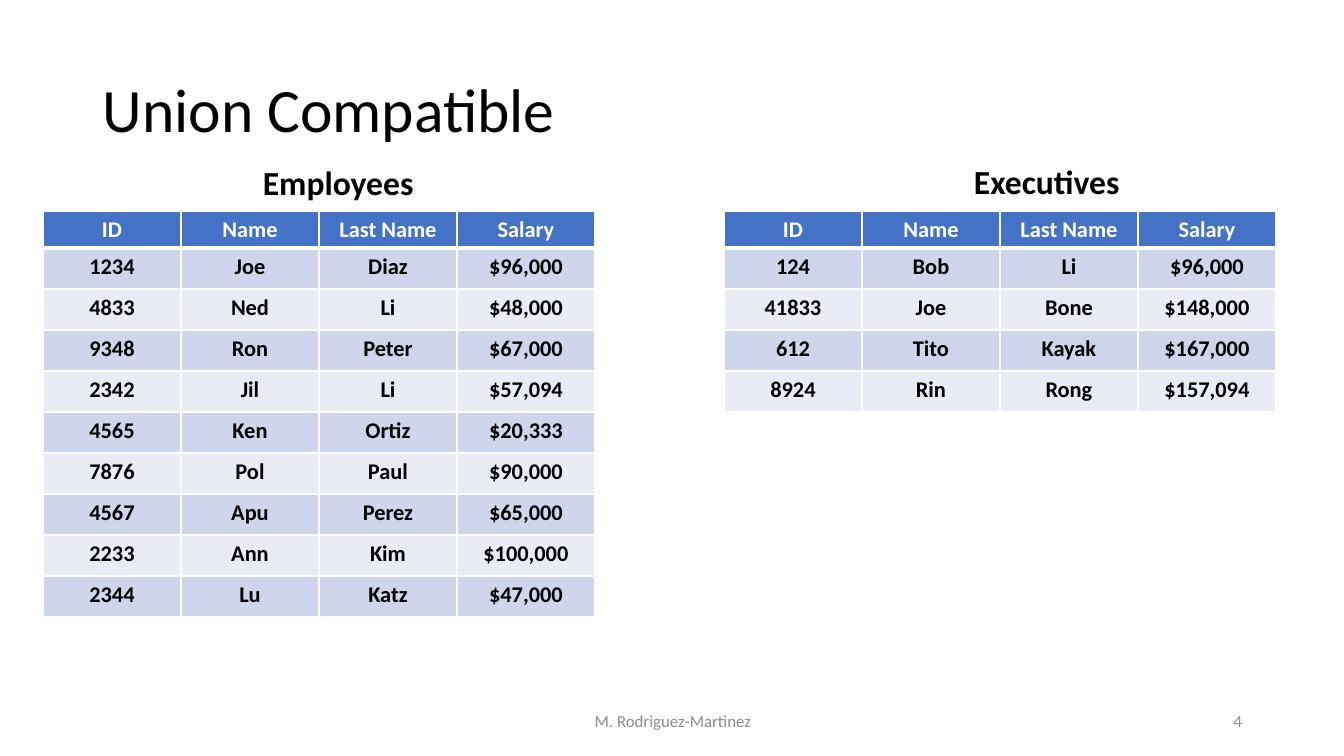
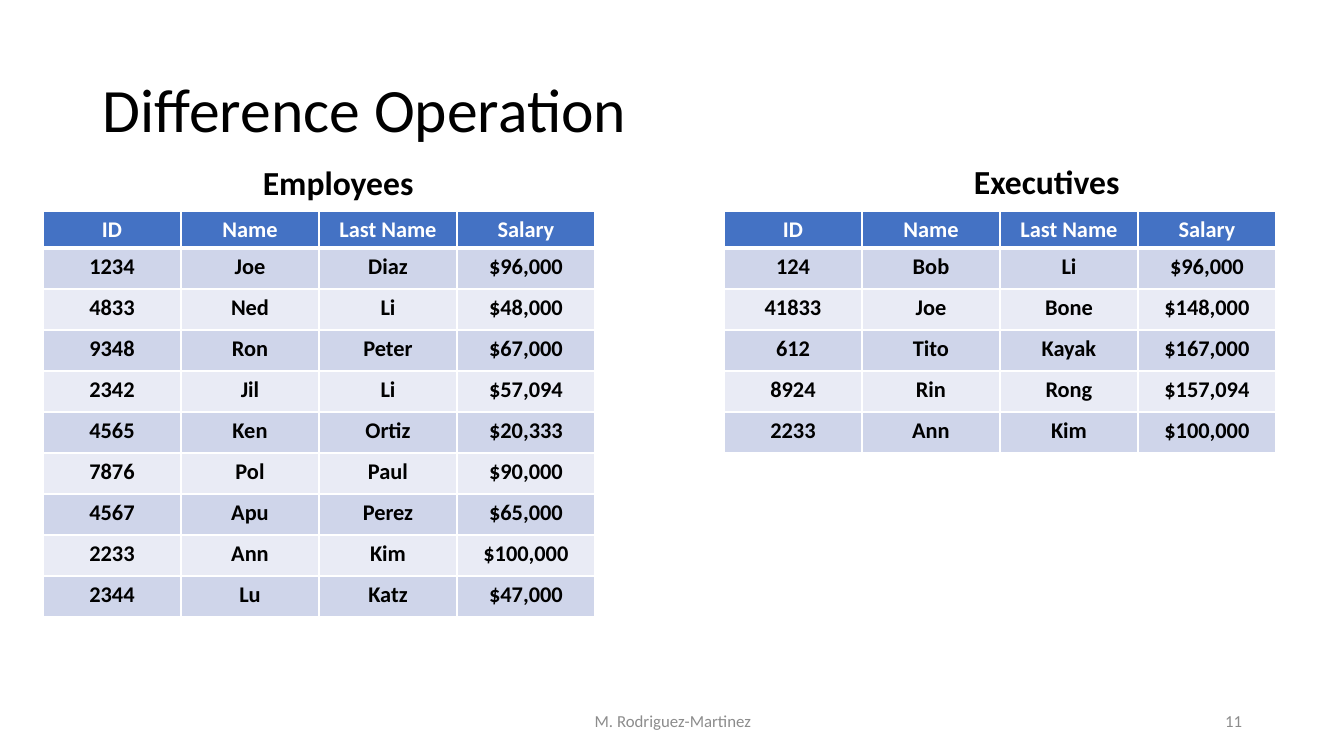
"""Build two slides that compare an employee table with an executive table."""
from lxml.etree import SubElement
from pptx import Presentation
from pptx.dml.color import RGBColor
from pptx.enum.text import MSO_ANCHOR, PP_ALIGN
from pptx.oxml.ns import qn
from pptx.util import Pt

HEADINGS = ("ID", "Name", "Last Name", "Salary")
EMPLOYEES = [
    ("1234", "Joe", "Diaz", "$96,000"),
    ("4833", "Ned", "Li", "$48,000"),
    ("9348", "Ron", "Peter", "$67,000"),
    ("2342", "Jil", "Li", "$57,094"),
    ("4565", "Ken", "Ortiz", "$20,333"),
    ("7876", "Pol", "Paul", "$90,000"),
    ("4567", "Apu", "Perez", "$65,000"),
    ("2233", "Ann", "Kim", "$100,000"),
    ("2344", "Lu", "Katz", "$47,000"),
]
EXECUTIVES = [
    ("124", "Bob", "Li", "$96,000"),
    ("41833", "Joe", "Bone", "$148,000"),
    ("612", "Tito", "Kayak", "$167,000"),
    ("8924", "Rin", "Rong", "$157,094"),
]
ANN = EMPLOYEES[7]
SLIDES = [
    ("Union Compatible", "4", EXECUTIVES),
    ("Difference Operation", "11", EXECUTIVES + [ANN]),
]
AUTHOR = "M. Rodriguez-Martinez"

BLACK, WHITE, GRAY = "000000", "FFFFFF", "8C8C8C"
HEADER_FILL, BANDS = "4472C4", ("CFD5EA", "E9EBF5")
TITLE = {"size": 44, "color": BLACK, "spacing": 0.9}
CAPTION = {"size": 24, "color": BLACK, "bold": True, "anchor": MSO_ANCHOR.TOP, "wrap": False}
FOOTER = {"size": 12, "color": GRAY, "align": PP_ALIGN.CENTER}
PAGE_NUMBER = {**FOOTER, "align": PP_ALIGN.RIGHT}
BODY_CELL = {"size": 16, "color": BLACK, "bold": True, "align": PP_ALIGN.CENTER}
HEADER_CELL = {**BODY_CELL, "color": WHITE}

TITLE_BOX = (93, 40, 1159, 146)
EMPLOYEES_BOX = (253, 157, 172, 50)
EXECUTIVES_BOX = (964, 156, 168, 50)
FOOTER_BOX = (446, 701, 454, 40)
PAGE_BOX = (950, 701, 302, 40)
EMPLOYEES_LEFT, EXECUTIVES_LEFT, TABLE_TOP = 43, 724, 211
COLUMN_WIDTH, HEADER_HEIGHT, ROW_HEIGHT = 138, 37, 41
THIN, THICK = 1, 3


def px(length):
    return round(length * 914400 / 100.8)


def rgb(color):
    return RGBColor.from_string(color)


def write(frame, text, look):
    paragraph = frame.paragraphs[0]
    paragraph.alignment = look.get("align", PP_ALIGN.LEFT)
    paragraph.line_spacing = look.get("spacing", 1.0)
    run = paragraph.add_run()
    run.text = text
    letters = {"name": "Calibri", "size": Pt(look["size"]), "bold": look.get("bold", False)}
    for attribute, value in letters.items():
        setattr(run.font, attribute, value)
    run.font.color.rgb = rgb(look["color"])


def add_label(slide, box, text, look):
    frame = slide.shapes.add_textbox(*map(px, box)).text_frame
    frame.word_wrap = look.get("wrap", True)
    frame.vertical_anchor = look.get("anchor", MSO_ANCHOR.MIDDLE)
    write(frame, text, look)


def add_borders(cell, top, bottom):
    properties = cell._tc.get_or_add_tcPr()
    for side, width in {"L": THIN, "R": THIN, "T": top, "B": bottom}.items():
        edge = SubElement(properties, qn(f"a:ln{side}"), w=str(Pt(width)))
        SubElement(SubElement(edge, qn("a:solidFill")), qn("a:srgbClr"), val=WHITE)


def add_staff(slide, left, staff):
    lines = [HEADINGS] + staff
    heights = [HEADER_HEIGHT] + [ROW_HEIGHT] * len(staff)
    area = (left, TABLE_TOP, COLUMN_WIDTH * len(HEADINGS), sum(heights))
    grid = slide.shapes.add_table(len(lines), len(HEADINGS), *map(px, area)).table
    for column in grid.columns:
        column.width = px(COLUMN_WIDTH)
    for index, (line, height) in enumerate(zip(lines, heights)):
        grid.rows[index].height = px(height)
        fill, look = (BANDS[(index - 1) % 2], BODY_CELL) if index else (HEADER_FILL, HEADER_CELL)
        for cell, text in zip(grid.rows[index].cells, line):
            add_borders(cell, THICK if index == 1 else THIN, THIN if index else THICK)
            cell.fill.solid()
            cell.fill.fore_color.rgb = rgb(fill)
            write(cell.text_frame, text, look)


deck = Presentation()
deck.slide_width, deck.slide_height = px(1344), px(756)
for title, page, executives in SLIDES:
    slide = deck.slides.add_slide(deck.slide_layouts[6])
    add_label(slide, TITLE_BOX, title, TITLE)
    add_staff(slide, EMPLOYEES_LEFT, EMPLOYEES)
    add_staff(slide, EXECUTIVES_LEFT, executives)
    add_label(slide, EMPLOYEES_BOX, "Employees", CAPTION)
    add_label(slide, EXECUTIVES_BOX, "Executives", CAPTION)
    add_label(slide, FOOTER_BOX, AUTHOR, FOOTER)
    add_label(slide, PAGE_BOX, page, PAGE_NUMBER)
deck.save("out.pptx")
